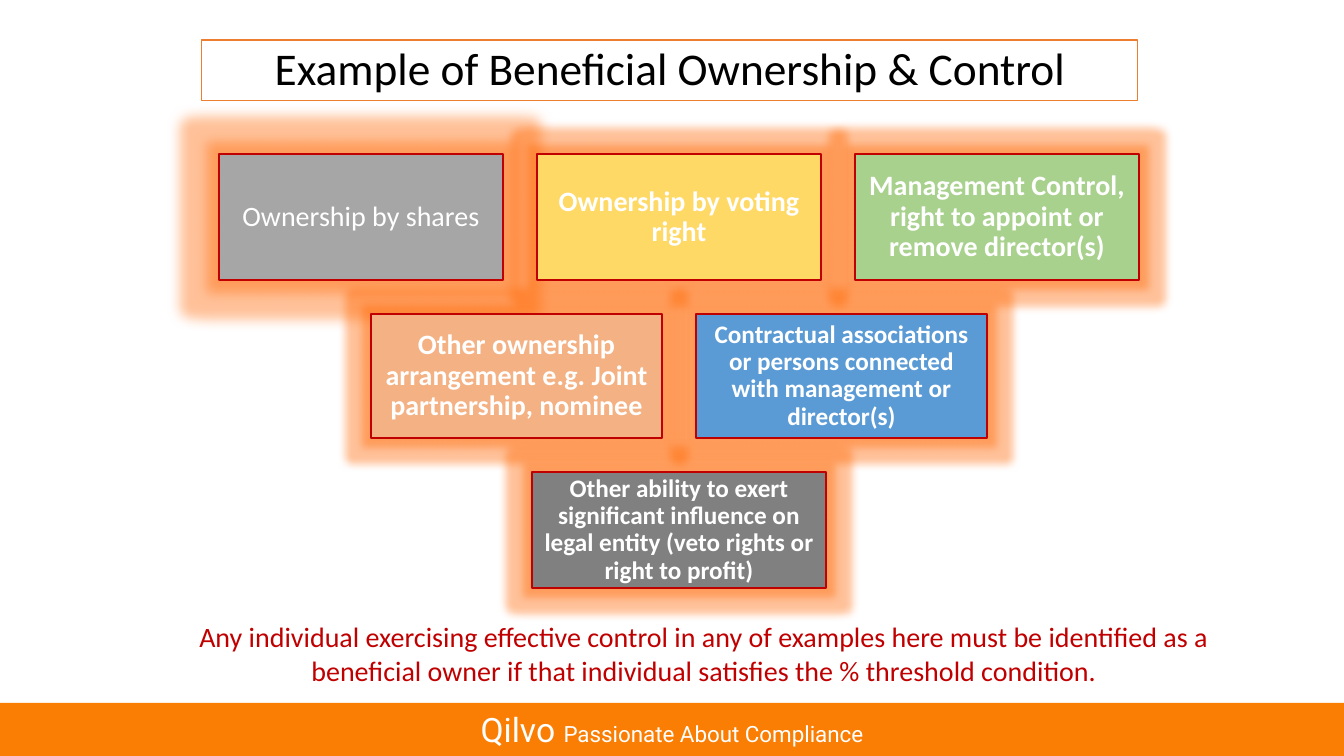
from pptx import Presentation
from pptx.dml.color import RGBColor
from pptx.enum.shapes import MSO_SHAPE
from pptx.enum.text import MSO_ANCHOR, PP_ALIGN
from pptx.oxml import parse_xml
from pptx.oxml.ns import nsdecls, qn
from pptx.util import Emu, Pt

RECT = MSO_SHAPE.RECTANGLE
MIDDLE, TOP = MSO_ANCHOR.MIDDLE, MSO_ANCHOR.TOP
CENTER = PP_ALIGN.CENTER

PX = 914400 / 100.8
SLIDE_W, SLIDE_H = 1344, 756

BLACK = RGBColor(0x00, 0x00, 0x00)
WHITE = RGBColor(0xFF, 0xFF, 0xFF)
RED = RGBColor(0xC0, 0x00, 0x00)
TITLE_LINE = RGBColor(0xED, 0x7D, 0x31)
FOOTER_FILL = RGBColor(0xF9, 0x7E, 0x03)
GLOW = RGBColor(0xFF, 0x66, 0x00)
GREY = RGBColor(0xA6, 0xA6, 0xA6)
YELLOW = RGBColor(0xFF, 0xD9, 0x66)
GREEN = RGBColor(0xA9, 0xD1, 0x8E)
PEACH = RGBColor(0xF4, 0xB1, 0x83)
BLUE = RGBColor(0x5B, 0x9B, 0xD5)
DARK_GREY = RGBColor(0x80, 0x80, 0x80)

# Pyramid of boxes: rows of (box width, box height, boxes);
# each box is (text, fill, text size, bold, glow radius in points)
PYRAMID_CENTER, PYRAMID_TOP, GAP = 679, 154, 34
ROWS = [
    (284, 126, [
        ("Ownership by shares", GREY, 20, False, 18),
        ("Ownership by voting right", YELLOW, 20, True, 12),
        ("Management Control, right to appoint or remove director(s)",
         GREEN, 20, True, 12),
    ]),
    (291, 124, [
        ("Other ownership arrangement e.g. Joint partnership, nominee",
         PEACH, 20, True, 12),
        ("Contractual associations or persons connected with management "
         "or director(s)", BLUE, 18, True, 12),
    ]),
    (294, 116, [
        ("Other ability to exert significant influence on legal entity "
         "(veto rights or right to profit)", DARK_GREY, 18, True, 12),
    ]),
]


def px(*values):
    return [Emu(round(v * PX)) for v in values]


def set_text(sp, runs, anchor=MIDDLE, spacing=1.0, inset=None):
    """Write one centred paragraph; runs are (text, font values) pairs."""
    tf = sp.text_frame
    frame = {"word_wrap": True, "vertical_anchor": anchor}
    if inset is not None:
        for side in ("left", "top", "right", "bottom"):
            frame[f"margin_{side}"] = px(inset)[0]
    for name, value in frame.items():
        setattr(tf, name, value)
    p = tf.paragraphs[0]
    p.alignment = CENTER
    p.line_spacing = spacing
    for text, font in runs:
        r = p.add_run()
        r.text = text
        for name, value in font.items():
            if name == "color":
                r.font.color.rgb = value
            else:
                setattr(r.font, name, value)


def add_rect(s, box, fill=None, line=None, width=1):
    sp = s.shapes.add_shape(RECT, *px(*box))
    sp.shadow.inherit = False
    if fill is None:
        sp.fill.background()
    else:
        sp.fill.solid()
        sp.fill.fore_color.rgb = fill
    if line is None:
        sp.line.fill.background()
    else:
        sp.line.color.rgb = line
        sp.line.width = Pt(width)
    return sp


def add_glow(sp, radius):
    effects = sp._element.spPr.find(qn("a:effectLst"))
    effects.append(parse_xml(
        f'<a:glow {nsdecls("a")} rad="{Pt(radius)}"><a:srgbClr val="{GLOW}">'
        '<a:alpha val="40000"/></a:srgbClr></a:glow>'))


def add_pyramid(s):
    top = PYRAMID_TOP
    for w, h, boxes in ROWS:
        row_w = len(boxes) * (w + GAP) - GAP
        left = PYRAMID_CENTER - row_w // 2
        for i, (text, fill, size, bold, radius) in enumerate(boxes):
            sp = add_rect(s, (left + i * (w + GAP), top, w, h), fill, RED)
            add_glow(sp, radius)
            font = {"name": "Calibri", "size": Pt(size), "bold": bold,
                    "color": WHITE}
            set_text(sp, [(text, font)], spacing=0.9, inset=8)
        top += h + GAP


def main():
    prs = Presentation()
    prs.slide_width, prs.slide_height = px(SLIDE_W, SLIDE_H)
    s = prs.slides.add_slide(prs.slide_layouts[6])

    # Title
    title = add_rect(s, (202, 40, 936, 61), line=TITLE_LINE, width=0.75)
    set_text(title, [("Example of Beneficial Ownership & Control",
                      {"name": "Calibri", "size": Pt(32.4), "color": BLACK})],
             spacing=0.9)

    # Footer band
    footer = add_rect(s, (0, 703, SLIDE_W, 53), FOOTER_FILL)
    set_text(footer, [
        (text, {"name": "Roboto", "size": Pt(size), "color": WHITE})
        for text, size in (("Qilvo ", 24), ("Passionate About Compliance", 16))
    ])

    # Kinds of ownership and control
    add_pyramid(s)

    # Conclusion
    note = s.shapes.add_textbox(*px(135, 615, 1138, 78))
    set_text(note, [("Any individual exercising effective control in any of "
                     "examples here must be identified as a beneficial owner "
                     "if that individual satisfies the % threshold condition.",
                     {"name": "Calibri", "size": Pt(20), "color": RED})],
             anchor=TOP)

    prs.save("out.pptx")


if __name__ == "__main__":
    main()
